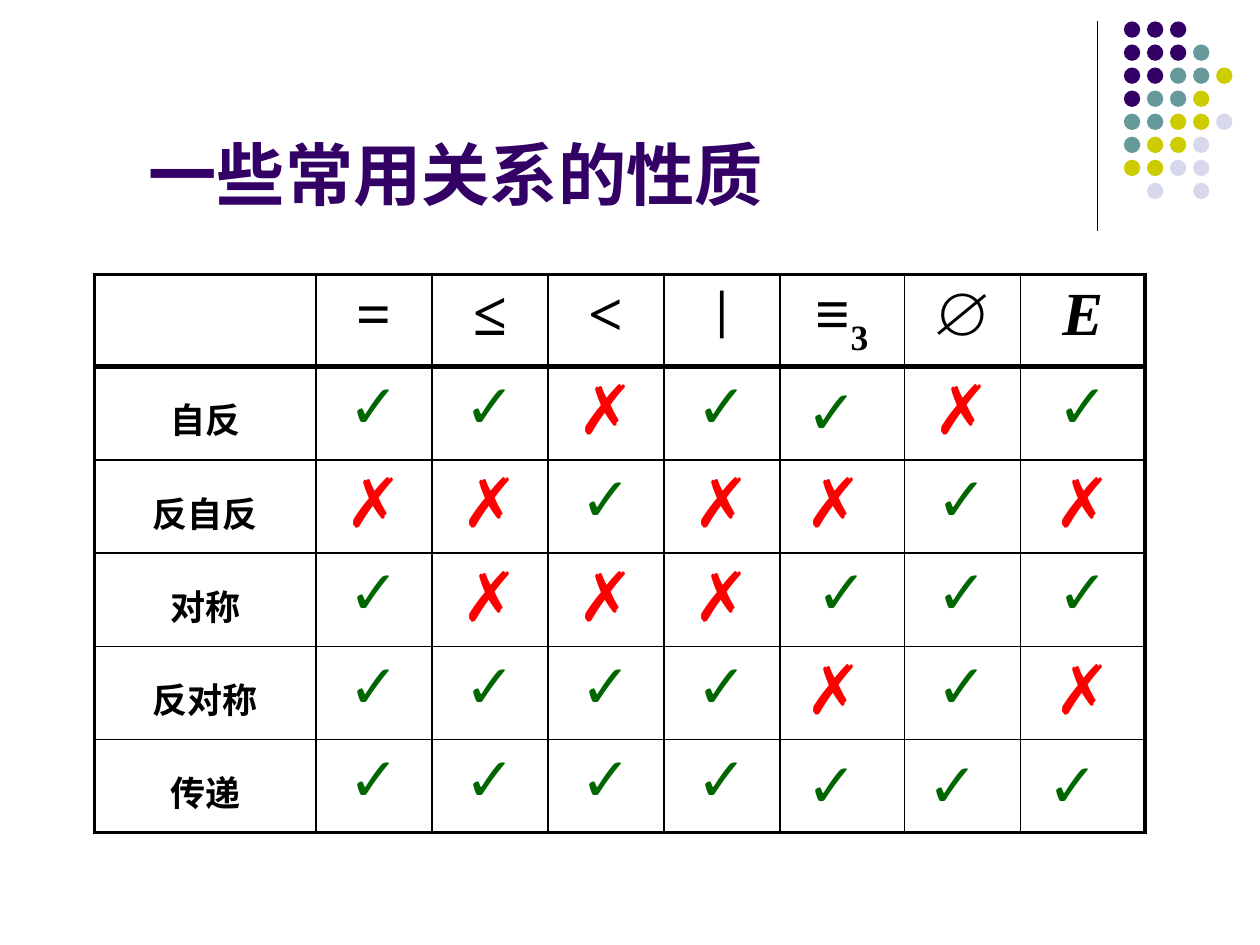
"""Build a slide with a table of the properties of common relations."""
from dataclasses import dataclass

from lxml.etree import SubElement
from pptx import Presentation
from pptx.dml.color import RGBColor
from pptx.enum.shapes import MSO_CONNECTOR, MSO_SHAPE
from pptx.enum.text import MSO_ANCHOR, MSO_AUTO_SIZE, PP_ALIGN
from pptx.oxml import parse_xml
from pptx.oxml.ns import nsdecls, qn
from pptx.util import Inches, Pt

COLORS = {
    "black": "000000",
    "plum": "330066",
    "teal": "669999",
    "lime": "CCCC00",
    "pale": "D8D8EC",
    "yes": "006600",
    "no": "FF0000",
}
SHADES = {"P": "plum", "T": "teal", "L": "lime", "V": "pale"}
DOTS = ["PPP", "PPPT", "PPTTL", "PTTL", "TTLLV", "TLLV", "LLVV", " V V"]
WIDTHS = [1.76, 0.92, 0.92, 0.92, 0.92, 0.99, 0.92, 0.99]
HEIGHTS = [0.73] + [0.74] * 5
HEADS = ["=", "≤", "<", "|", "≡3", "∅", "E"]
THIN, EDGE, RULE = 1, 2.25, 3


@dataclass
class Style:
    size: float
    color: str = "black"
    font: str = "Arial"
    bold: bool = True
    italic: bool = False


@dataclass
class Trait:
    name: str
    marks: list[str]


TRAITS = [
    Trait("自反", ["✓", "✓", "✗", "✓", "✓ ", "✗", "✓"]),
    Trait("反自反", ["✗", "✗", "✓", "✗", "✗ ", "✓", "✗"]),
    Trait("对称", ["✓", "✗", "✗", "✗", "✓", "✓", "✓"]),
    Trait("反对称", ["✓", "✓", "✓", "✓", "✗ ", "✓", "✗"]),
    Trait("传递", ["✓", "✓", "✓", "✓", "✓ ", "✓ ", "✓ "]),
]
LABEL = Style(20)
MARKS = {"✓": Style(35, "yes"), "✗": Style(39, "no")}
SPACES = {"✓": MARKS["✗"], "✗": MARKS["✓"]}


def paint(run, style: Style) -> None:
    """Give a run its font."""
    font = run.font
    font.name, font.size = style.font, Pt(style.size)
    font.bold, font.italic = style.bold, style.italic
    font.color.rgb = RGBColor.from_string(COLORS[style.color])


def write(cell, parts: list[tuple[str, Style]]) -> None:
    """Write centred runs into a cell."""
    para = cell.text_frame.paragraphs[0]
    para.alignment = PP_ALIGN.CENTER
    for text, style in parts:
        run = para.add_run()
        run.text = text
        paint(run, style)


def border(cell, widths: dict[str, float]) -> None:
    """Draw the four sides of a cell."""
    cell.fill.background()
    props = cell._tc.get_or_add_tcPr()
    for spot, (side, width) in enumerate(widths.items()):
        props.insert(spot, parse_xml(
            f'<a:ln{side} {nsdecls("a")} w="{int(Pt(width))}"><a:solidFill>'
            f'<a:srgbClr val="{COLORS["black"]}"/></a:solidFill></a:ln{side}>'))


def add_dots(slide) -> None:
    """Draw the corner dots."""
    for row, line in enumerate(DOTS):
        for col, key in enumerate(line):
            if key == " ":
                continue
            dot = slide.shapes.add_shape(
                MSO_SHAPE.OVAL, Inches(8.92 + col * 0.183),
                Inches(0.17 + row * 0.183), Inches(0.13), Inches(0.13))
            dot.shadow.inherit = False
            dot.fill.solid()
            dot.fill.fore_color.rgb = RGBColor.from_string(COLORS[SHADES[key]])
            dot.line.fill.background()


def add_rule(slide) -> None:
    """Draw the upright line beside the dots."""
    rule = slide.shapes.add_connector(
        MSO_CONNECTOR.STRAIGHT, Inches(8.71), Inches(0.17),
        Inches(8.71), Inches(1.83))
    rule.line.width = Pt(0.75)
    rule.line.color.rgb = RGBColor.from_string(COLORS["black"])
    SubElement(rule._element.spPr, qn("a:effectLst"))


def add_title(slide) -> None:
    """Place and format the title."""
    title = slide.shapes.title
    title.left, title.top = Inches(1.08), Inches(0.5)
    title.width, title.height = Inches(8.75), Inches(1.25)
    frame = title.text_frame
    frame.text = "一些常用关系的性质"
    frame.auto_size = MSO_AUTO_SIZE.NONE
    frame.vertical_anchor = MSO_ANCHOR.BOTTOM
    frame.paragraphs[0].alignment = PP_ALIGN.LEFT
    paint(frame.paragraphs[0].runs[0], Style(39, "plum"))


def add_grid(slide) -> None:
    """Build the table of relations and traits."""
    rows, cols = len(HEIGHTS), len(WIDTHS)
    table = slide.shapes.add_table(
        rows, cols, Inches(0.75), Inches(2.18),
        Inches(sum(WIDTHS)), Inches(sum(HEIGHTS))).table
    table.first_row = table.horz_banding = False
    for col, width in zip(table.columns, WIDTHS):
        col.width = Inches(width)
    for row, height in zip(table.rows, HEIGHTS):
        row.height = Inches(height)
    for row in range(rows):
        for col in range(cols):
            border(table.cell(row, col), {
                "L": EDGE if col == 0 else THIN,
                "R": EDGE if col == cols - 1 else THIN,
                "T": {0: EDGE, 1: RULE}.get(row, THIN),
                "B": {0: RULE, rows - 1: EDGE}.get(row, THIN),
            })
    for col, head in enumerate(HEADS, 1):
        style = Style(30 if head == "|" else 35, font="Times New Roman",
                      italic=head == "E")
        cell = table.cell(0, col)
        write(cell, [(sign, style) for sign in head])
        for run in cell.text_frame.paragraphs[0].runs[1:]:
            run.font._element.set("baseline", "-25000")
    for row, trait in enumerate(TRAITS, 1):
        cell = table.cell(row, 0)
        cell.margin_top = Inches(0.21)
        write(cell, [(trait.name, LABEL)])
        for col, mark in enumerate(trait.marks, 1):
            sign, space = mark[0], mark[1:]
            parts = [(sign, MARKS[sign])]
            if space:
                parts.append((space, SPACES[sign]))
            write(table.cell(row, col), parts)


def main() -> None:
    """Build and save the slide."""
    deck = Presentation()
    deck.slide_width, deck.slide_height = Inches(10), Inches(7.5)
    slide = deck.slides.add_slide(deck.slide_layouts[5])
    add_rule(slide)
    add_dots(slide)
    add_title(slide)
    add_grid(slide)
    deck.save("out.pptx")


if __name__ == "__main__":
    main()
